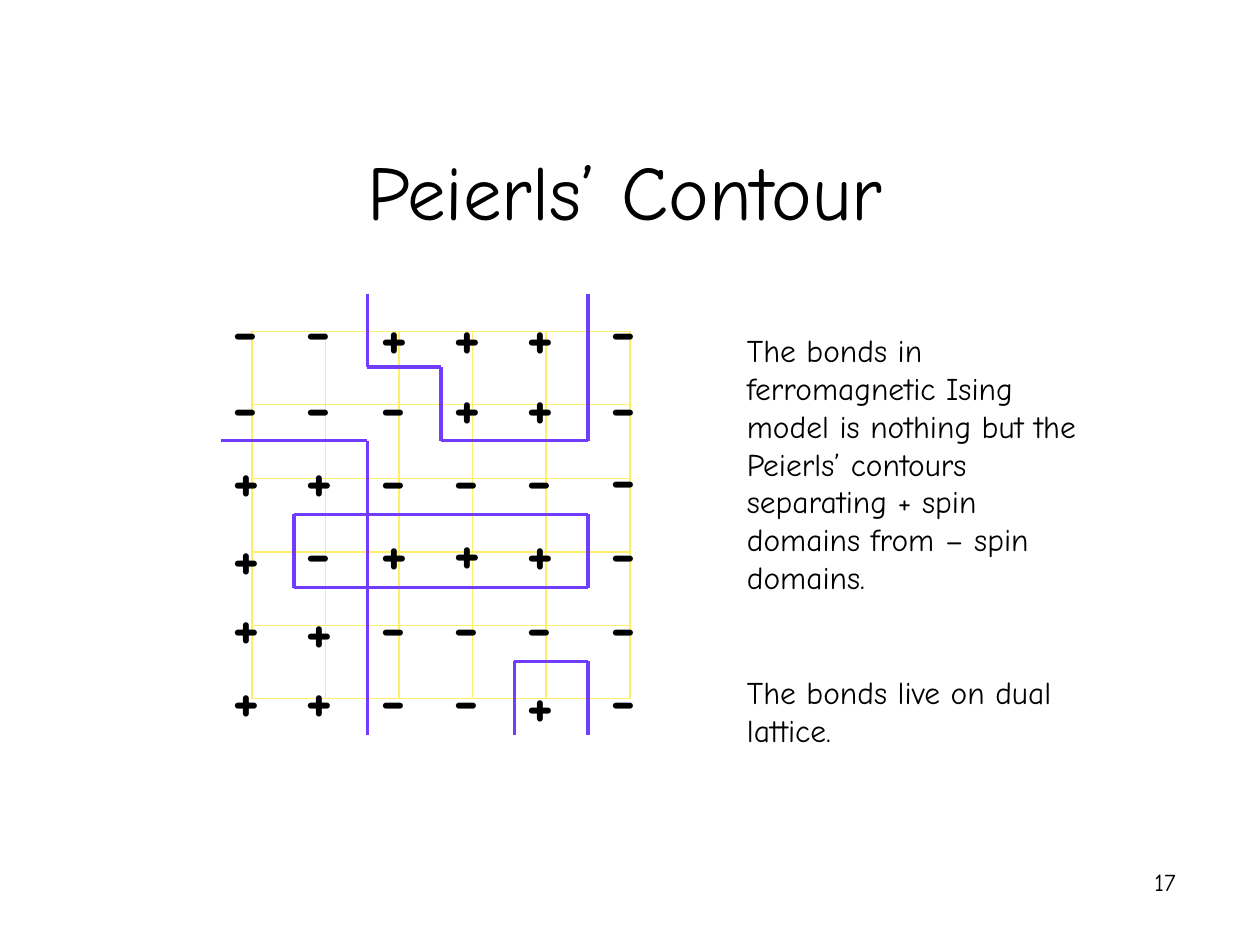
"""Build the Peierls' contour slide: a spin lattice with its domain walls."""
from lxml import etree
from pptx import Presentation
from pptx import util as u
from pptx.dml.color import RGBColor
from pptx.enum import shapes, text
from pptx.oxml.ns import qn


def line(x1, y1, x2, y2, color, width):
    """Draw a straight line between two points given in inches."""
    rule = slide.shapes.add_connector(
        shapes.MSO_CONNECTOR.STRAIGHT, u.Inches(x1), u.Inches(y1), u.Inches(x2), u.Inches(y2))
    rule.line.color.rgb = RGBColor.from_string(color)
    rule.line.width = u.Pt(width)
    etree.SubElement(rule._element.spPr, qn("a:effectLst"))


def write(shape, place, lines, size, bold=False, align=text.PP_ALIGN.LEFT, gap=0):
    """Place a shape and fill it with one run per paragraph."""
    shape.left, shape.top, shape.width, shape.height = [u.Inches(v) for v in place]
    frame = shape.text_frame
    frame.word_wrap = True
    for i, words in enumerate(lines):
        para = frame.add_paragraph() if i else frame.paragraphs[0]
        para.alignment = align
        para.space_before = u.Pt(gap if i else 0)
        run = para.add_run()
        run.text = words
        run.font.name = "Comic Neue"
        run.font.size = u.Pt(size)
        run.font.bold = bold
        run.font.color.rgb = RGBColor.from_string("000000")


deck = Presentation()
deck.slide_width, deck.slide_height = u.Inches(10), u.Inches(7.5)
slide = deck.slides.add_slide(deck.slide_layouts[5])

title = slide.shapes.title
write(title, (0.75, 0.17, 8.42, 1.75), ["Peierls’ Contour"], 44, align=text.PP_ALIGN.CENTER)
title.text_frame.vertical_anchor = text.MSO_ANCHOR.BOTTOM
title.text_frame.auto_size = text.MSO_AUTO_SIZE.NONE

step = 7 / 12
for x in [2 + step * i for i in range(5)] + [5]:
    line(x, 2.63, x, 5.55, "FFEF66", 0.75)
for j in range(6):
    y = 2.63 + step * j
    line(2, y, 5, y, "FFEF66", 0.75)

spins = ["--+++-", "---++-", "++----", "+-+++-", "++----", "++--+-"]
lefts = [1.75, 2.33, 2.92, 3.5, 4.08, 4.75]
tops = [2.25, 2.85, 3.43, 4.01, 4.6, 5.18]
shifts = {(0, 2): 0.05, (0, 3): 0.05, (0, 4): 0.05, (2, 5): -0.01,
          (3, 0): 0.04, (3, 3): -0.01, (4, 1): 0.03, (5, 4): 0.04}
for r, row in enumerate(spins):
    for c, sign in enumerate(row):
        place = (lefts[c], tops[r] + shifts.get((r, c), 0), 0.42, 0.7)
        write(slide.shapes.add_textbox(0, 0, 0, 0), place, [sign], 36, bold=True)

for r, row in enumerate(spins):
    for c, sign in enumerate(row):
        x, y = 1.75 + step * c, 2.33 + step * r
        right, low = x + step, y + step
        if c < 5 and sign != row[c + 1]:
            line(right, y, right, low, "703DFF", 1.75)
        if r < 5 and sign != spins[r + 1][c]:
            line(x, low, right, low, "703DFF", 1.75)

notes = ["The bonds in ferromagnetic Ising model is nothing but the Peierls’ contours "
         "separating + spin domains from – spin domains.",
         "The bonds live on dual lattice."]
write(slide.shapes.add_textbox(0, 0, 0, 0), (5.83, 2.58, 3, 3.42), notes, 18, gap=44)
write(slide.shapes.add_textbox(0, 0, 0, 0), (7.35, 6.83, 2.08, 0.5), ["17"], 14,
      align=text.PP_ALIGN.RIGHT)

deck.save("out.pptx")
